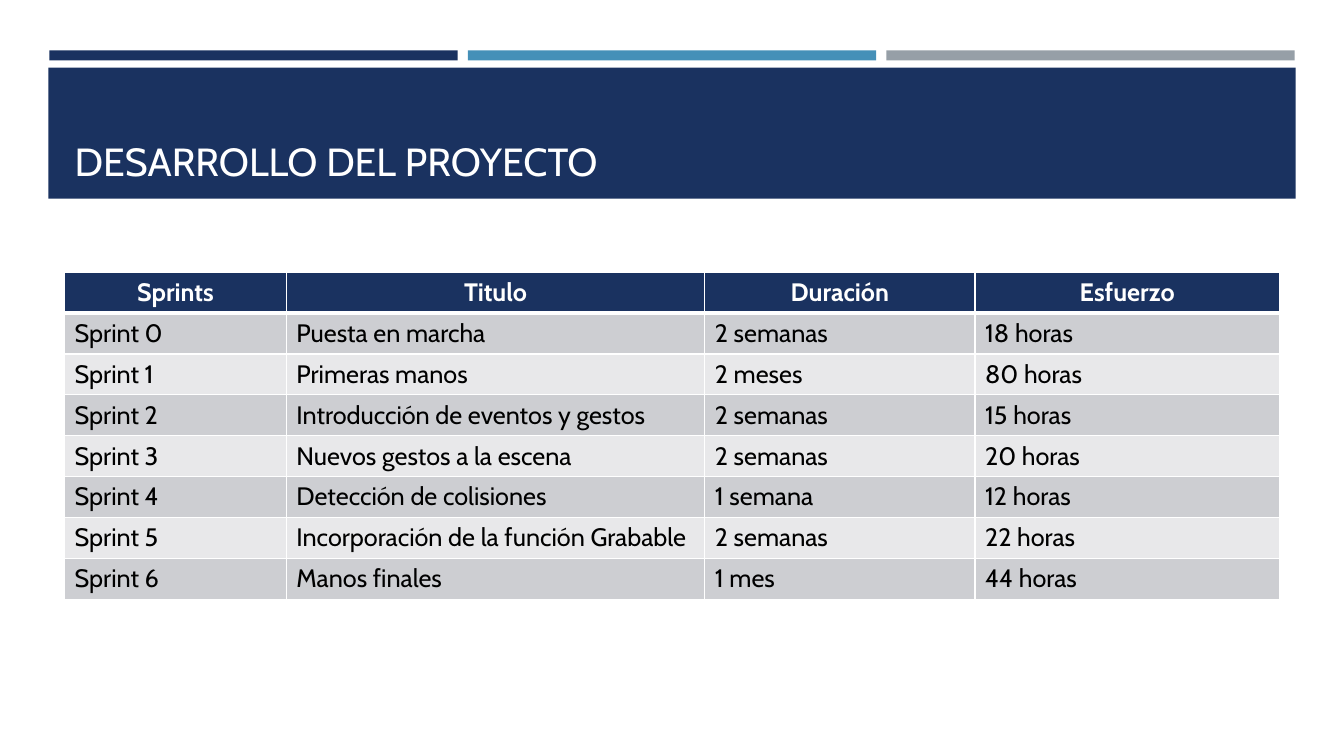
from lxml.etree import SubElement
from pptx import Presentation
from pptx.dml.color import RGBColor
from pptx.enum.shapes import MSO_SHAPE
from pptx.enum.text import MSO_ANCHOR, PP_ALIGN
from pptx.oxml.ns import qn
from pptx.util import Inches, Pt

NAVY, BLUE, GRAY, WHITE = "1A3260", "4590B8", "969FA7", "FFFFFF"
BANDS = ["E8E8EA", "CDCED2"]


def paint(fill, color):
    """Fill a shape, cell or font with one solid colour."""
    fill.solid()
    fill.fore_color.rgb = RGBColor.from_string(color)


def write(tf, text, size=18, color="000000", bold=False, align=PP_ALIGN.LEFT):
    p = tf.paragraphs[0]
    p.alignment = align
    r = p.add_run()
    r.text = text
    r.font.name, r.font.size, r.font.bold = "Cabin", Pt(size), bold
    paint(r.font.fill, color)


prs = Presentation()
prs.slide_width, prs.slide_height = Inches(13.33), Inches(7.5)
s = prs.slides.add_slide(prs.slide_layouts[5])

# Three strips over the title band
strip_w, strip_step = 4.05, 4.15
bars = [(0.49 + i * strip_step, 0.5, strip_w, 0.1, color)
        for i, color in enumerate([NAVY, BLUE, GRAY])]
bars.append((0.48, 0.67, 12.37, 1.3, NAVY))
for *box, color in bars:
    sp = s.shapes.add_shape(MSO_SHAPE.RECTANGLE, *map(Inches, box))
    sp.shadow.inherit = False
    paint(sp.fill, color)
    sp.line.fill.background()

# Title, brought in front of its band
title = s.shapes.title
title.left, title.top, title.width, title.height = map(Inches, (0.64, 0.77, 12.06, 1.11))
title.text_frame.vertical_anchor = MSO_ANCHOR.BOTTOM
title.text_frame.word_wrap = True
write(title.text_frame, "DESARROLLO DEL PROYECTO", size=28, color=WHITE)
s.shapes._spTree.append(title._element)

# Sprint table
rows = [
    ("Sprints", "Titulo", "Duración", "Esfuerzo"),
    ("Sprint 0", "Puesta en marcha", "2 semanas", "18 horas"),
    ("Sprint 1", "Primeras manos", "2 meses", "80 horas"),
    ("Sprint 2", "Introducción de eventos y gestos", "2 semanas", "15 horas"),
    ("Sprint 3", "Nuevos gestos a la escena", "2 semanas", "20 horas"),
    ("Sprint 4", "Detección de colisiones", "1 semana", "12 horas"),
    ("Sprint 5", "Incorporación de la función Grabable", "2 semanas", "22 horas"),
    ("Sprint 6", "Manos finales", "1 mes", "44 horas"),
]
col_widths = [2.2, 4.15, 2.68, 3.02]
table = s.shapes.add_table(len(rows), len(col_widths), Inches(0.64), Inches(2.7),
                           Inches(sum(col_widths)), Inches(3.24)).table
for column, width in zip(table.columns, col_widths):
    column.width = Inches(width)

for i, values in enumerate(rows):
    header = i == 0
    edges = {"a:lnL": 1, "a:lnR": 1, "a:lnT": 3 if i == 1 else 1, "a:lnB": 3 if header else 1}
    for j, value in enumerate(values):
        cell = table.cell(i, j)
        tcPr = cell._tc.get_or_add_tcPr()
        for tag, width in edges.items():
            ln = SubElement(tcPr, qn(tag), w=str(Pt(width)))
            SubElement(SubElement(ln, qn("a:solidFill")), qn("a:srgbClr"), val=WHITE)
        paint(cell.fill, NAVY if header else BANDS[i % 2])
        write(cell.text_frame, value, color=WHITE if header else "000000", bold=header,
              align=PP_ALIGN.CENTER if header else PP_ALIGN.LEFT)

prs.save("out.pptx")
